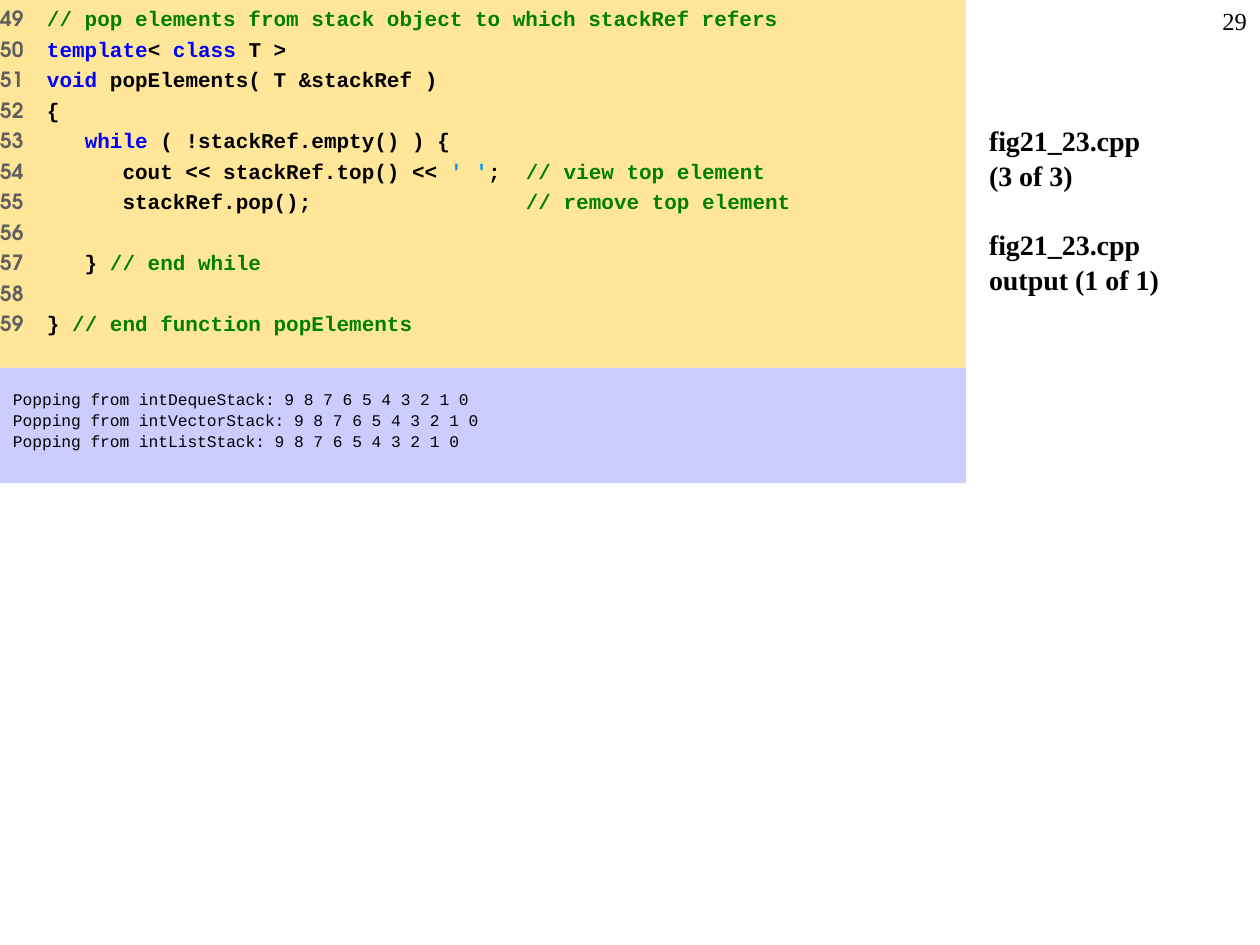
from pptx import Presentation
from pptx.dml.color import RGBColor
from pptx.enum.shapes import MSO_SHAPE
from pptx.enum.text import MSO_ANCHOR, MSO_AUTO_SIZE, PP_ALIGN
from pptx.util import Pt

RECTANGLE = MSO_SHAPE.RECTANGLE
TOP = MSO_ANCHOR.TOP
NO_AUTO_SIZE = MSO_AUTO_SIZE.NONE
LEFT, RIGHT = PP_ALIGN.LEFT, PP_ALIGN.RIGHT

EMU_PER_PX = 914400 / 126
TITLE_ONLY = 5
CODE_FONT, NUMBER_FONT, TEXT_FONT = "Courier New", "TeX Gyre Adventor", "Times New Roman"

COLORS = {
    "code_panel": "FFE699",
    "output_panel": "CCCCFF",
    "line_number": "5F5F5F",
    "comment": "008000",
    "keyword": "0000FF",
    "literal": "0099FF",
    "plain": "000000",
}

FIRST_LINE = 49
CODE_LINES = [
    [("// pop elements from stack object to which stackRef refers", "comment")],
    [("template", "keyword"), ("< ", "plain"), ("class", "keyword"), (" T >", "plain")],
    [("void", "keyword"), (" popElements( T &stackRef )", "plain")],
    [("{", "plain")],
    [("   ", "plain"), ("while", "keyword"), (" ( !stackRef.empty() ) {", "plain")],
    [("      cout << stackRef.top() << ", "plain"), ("' '", "literal"),
     (";  ", "plain"), ("// view top element", "comment")],
    [("      stackRef.pop();                 ", "plain"),
     ("// remove top element", "comment")],
    [],
    [("   } ", "plain"), ("// end while", "comment")],
    [],
    [("} ", "plain"), ("// end function popElements", "comment")],
]
OUTPUT_LINES = [
    "Popping from intDequeStack: 9 8 7 6 5 4 3 2 1 0",
    "Popping from intVectorStack: 9 8 7 6 5 4 3 2 1 0",
    "Popping from intListStack: 9 8 7 6 5 4 3 2 1 0",
]
TITLE_BLOCKS = [
    ["fig21_23.cpp", "(3 of 3)"],
    ["fig21_23.cpp", "output (1 of 1)"],
]


def px(length):
    return round(length * EMU_PER_PX)


def set_up_frame(frame, side_left, side_right, top_bottom):
    """Set insets in px, wrapping and top anchoring."""
    frame.margin_left, frame.margin_right = px(side_left), px(side_right)
    frame.margin_top = frame.margin_bottom = px(top_bottom)
    frame.word_wrap = True
    frame.auto_size = NO_AUTO_SIZE
    frame.vertical_anchor = TOP


def add_para(frame, index, align=LEFT, before=0, spacing=1.0):
    para = frame.add_paragraph() if index else frame.paragraphs[0]
    para.alignment = align
    para.space_before = Pt(before)
    para.line_spacing = spacing
    return para


def add_span(para, text, font, size, color="plain", bold=False):
    span = para.add_run()
    span.text = text
    span.font.name = font
    span.font.size = Pt(size)
    span.font.bold = bold
    span.font.color.rgb = RGBColor.from_string(COLORS[color])


def add_panel(page, box, color):
    panel = page.shapes.add_shape(RECTANGLE, *map(px, box))
    panel.shadow.inherit = False
    panel.fill.solid()
    panel.fill.fore_color.rgb = RGBColor.from_string(COLORS[color])
    panel.line.fill.background()
    return panel.text_frame


def add_code_listing(page, box):
    frame = add_panel(page, box, "code_panel")
    set_up_frame(frame, 0, 13, 6)
    for index, spans in enumerate(CODE_LINES):
        para = add_para(frame, index, before=3)
        # A hanging indent lines the code up after its number.
        properties = para._p.get_or_add_pPr()
        properties.set("marL", str(px(47)))
        properties.set("indent", str(-px(47)))
        number = str(FIRST_LINE + index) + ("\t" if spans else "")
        add_span(para, number, NUMBER_FONT, 12, "line_number", bold=True)
        for text, color in spans:
            add_span(para, text, CODE_FONT, 12, color, bold=True)


def add_program_output(page, box):
    frame = add_panel(page, box, "output_panel")
    set_up_frame(frame, 13, 13, 25)
    for index, text in enumerate(OUTPUT_LINES):
        para = add_para(frame, index, before=3, spacing=0.8)
        add_span(para, text, CODE_FONT, 9.3)


def add_page_number(page, box, number):
    frame = page.shapes.add_textbox(*map(px, box)).text_frame
    set_up_frame(frame, 13, 13, 6)
    add_span(add_para(frame, 0, RIGHT), number, TEXT_FONT, 14)


def place_title(page, box):
    title = page.shapes.title
    title.left, title.top, title.width, title.height = map(px, box)
    frame = title.text_frame
    set_up_frame(frame, 13, 13, 6)
    for index, lines in enumerate(TITLE_BLOCKS):
        para = add_para(frame, index, before=19 if index else 0, spacing=1.05)
        for position, text in enumerate(lines):
            if position:
                para.add_line_break()
            add_span(para, text, TEXT_FONT, 16, bold=True)


def main():
    deck = Presentation()
    deck.slide_width, deck.slide_height = px(1260), px(945)
    page = deck.slides.add_slide(deck.slide_layouts[TITLE_ONLY])
    add_code_listing(page, (0, 0, 966, 368))
    add_page_number(page, (1197, 0, 63, 63), "29")
    place_title(page, (976, 116, 284, 756))
    add_program_output(page, (0, 368, 966, 115))
    deck.save("out.pptx")


if __name__ == "__main__":
    main()
